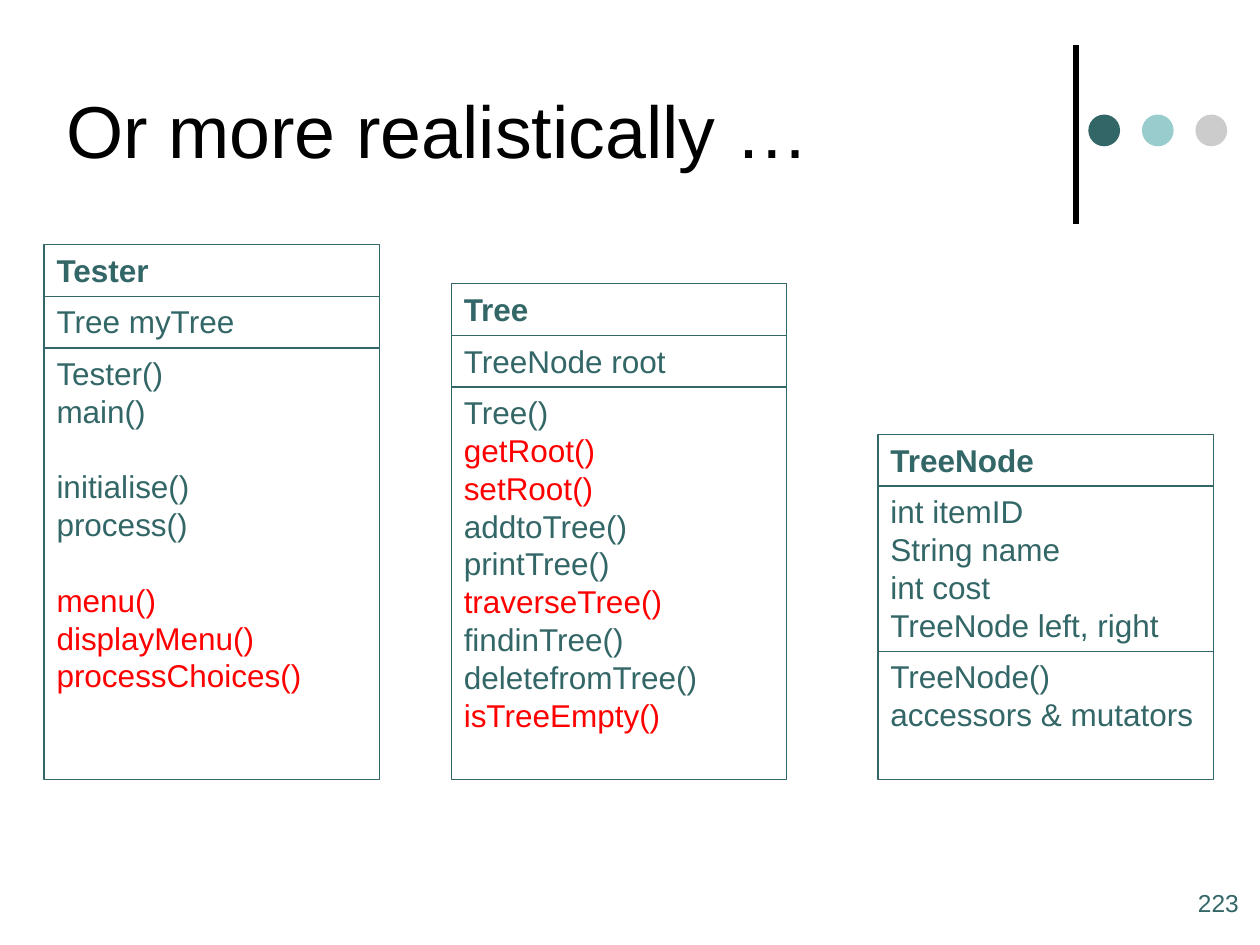
from dataclasses import dataclass
from typing import NamedTuple

from lxml import etree
from pptx import Presentation
from pptx.dml.color import RGBColor
from pptx.enum.shapes import MSO_CONNECTOR, MSO_SHAPE
from pptx.enum.text import MSO_ANCHOR, PP_ALIGN
from pptx.oxml.ns import qn
from pptx.util import Cm, Pt

RECT, OVAL = MSO_SHAPE.RECTANGLE, MSO_SHAPE.OVAL
LINE = MSO_CONNECTOR.STRAIGHT
LEFT = PP_ALIGN.LEFT
TOP, MIDDLE = MSO_ANCHOR.TOP, MSO_ANCHOR.MIDDLE

FONT = "Arial"
HUES = {
    "black": "000000",
    "teal": "336666",
    "aqua": "99CCCC",
    "grey": "CCCCCC",
    "red": "FF0000",
}
PITCH = Pt(21.6)
PAD = Cm(0.28)
WIDTH = Cm(6.76)
BASE = Cm(15.71)  # shared bottom edge of the class boxes


class Item(NamedTuple):
    text: str
    hue: str = "teal"
    gap: bool = False  # leave one line free above


@dataclass
class Klass:
    name: str
    left: float
    top: float
    fields: list[Item]
    methods: list[Item]


CLASSES = [
    Klass("Tester", 0.89, 4.93, [Item("Tree myTree")], [
        Item("Tester()"),
        Item("main()"),
        Item("initialise()", gap=True),
        Item("process()"),
        Item("menu()", "red", gap=True),
        Item("displayMenu()", "red"),
        Item("processChoices()", "red"),
    ]),
    Klass("Tree", 9.1, 5.72, [Item("TreeNode root")], [
        Item("Tree()"),
        Item("getRoot()", "red"),
        Item("setRoot()", "red"),
        Item("addtoTree()"),
        Item("printTree()"),
        Item("traverseTree()", "red"),
        Item("findinTree()"),
        Item("deletefromTree()"),
        Item("isTreeEmpty()", "red"),
    ]),
    Klass("TreeNode", 17.7, 8.76, [
        Item("int itemID"),
        Item("String name"),
        Item("int cost"),
        Item("TreeNode left, right"),
    ], [
        Item("TreeNode()"),
        Item("accessors & mutators"),
    ]),
]


def color(hue: str) -> RGBColor:
    return RGBColor.from_string(HUES[hue])


def add_run(para, text: str, size: float, hue: str, bold: bool = False) -> None:
    run = para.add_run()
    run.text = text
    run.font.name = FONT
    run.font.size = Pt(size)
    run.font.bold = bold
    run.font.color.rgb = color(hue)


def add_label(slide, text: str, box: tuple, size: float, hue: str, anchor) -> None:
    frame = slide.shapes.add_textbox(*map(Cm, box)).text_frame
    frame.word_wrap = True
    frame.vertical_anchor = anchor
    add_run(frame.paragraphs[0], text, size, hue)


def add_part(slide, left: int, top: int, height: int, items: list[Item],
             bold: bool = False) -> None:
    """Draw one compartment of a class box."""
    shape = slide.shapes.add_shape(RECT, left, top, WIDTH, height)
    shape.shadow.inherit = False
    shape.fill.background()
    shape.line.color.rgb = color("teal")
    shape.line.width = Pt(0.75)
    frame = shape.text_frame
    frame.word_wrap = True
    frame.vertical_anchor = TOP
    for i, item in enumerate(items):
        para = frame.add_paragraph() if i else frame.paragraphs[0]
        para.alignment = LEFT
        para.line_spacing = PITCH
        if item.gap:
            para.space_before = PITCH
        add_run(para, item.text, 18, item.hue, bold)


def add_class(slide, klass: Klass) -> None:
    """Stack name, fields and methods; methods fill the rest down to BASE."""
    left, top = Cm(klass.left), Cm(klass.top)
    for items, bold in (([Item(klass.name)], True), (klass.fields, False)):
        height = PAD + PITCH * len(items)
        add_part(slide, left, top, height, items, bold)
        top += height
    add_part(slide, left, top, BASE - top, klass.methods)


def add_motif(slide) -> None:
    """Draw the upright bar and the three dots beside the title."""
    bar = slide.shapes.add_connector(LINE, Cm(21.69), Cm(4.52), Cm(21.69), Cm(0.91))
    bar.line.color.rgb = color("black")
    bar.line.width = Pt(3)
    etree.SubElement(bar._element.spPr, qn("a:effectLst"))
    for i, hue in enumerate(("teal", "aqua", "grey")):
        dot = slide.shapes.add_shape(
            OVAL, Cm(21.94 + 1.08 * i), Cm(2.31), Cm(0.64), Cm(0.64))
        dot.shadow.inherit = False
        dot.fill.solid()
        dot.fill.fore_color.rgb = color(hue)
        dot.line.fill.background()


def main() -> None:
    deck = Presentation()
    deck.slide_width, deck.slide_height = Cm(25.4), Cm(19.05)
    slide = deck.slides.add_slide(deck.slide_layouts[6])
    add_motif(slide)
    add_label(slide, "223", (23.9, 17.78, 1.5, 1.27), 14, "teal", TOP)
    add_label(slide, "Or more realistically …", (1.09, 0.48, 19.48, 4.24),
              42, "black", MIDDLE)
    for klass in CLASSES:
        add_class(slide, klass)
    deck.save("out.pptx")


if __name__ == "__main__":
    main()
